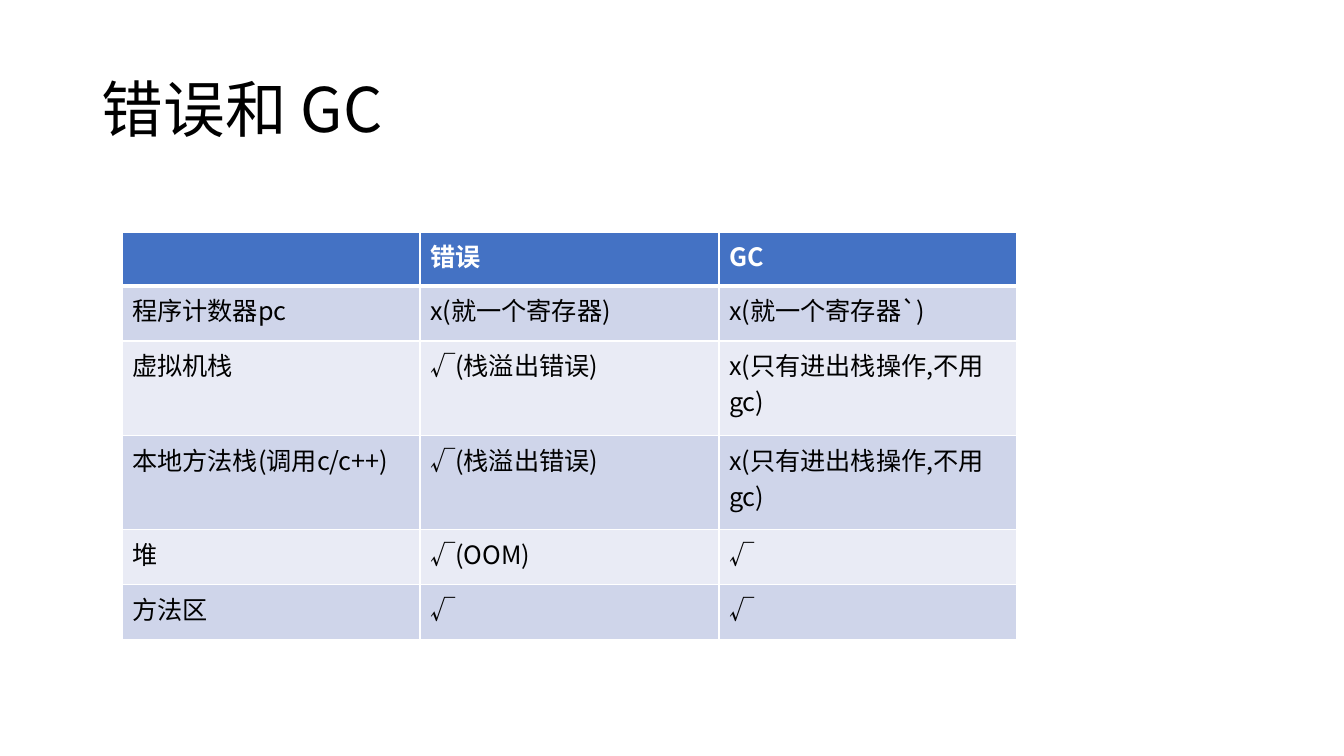
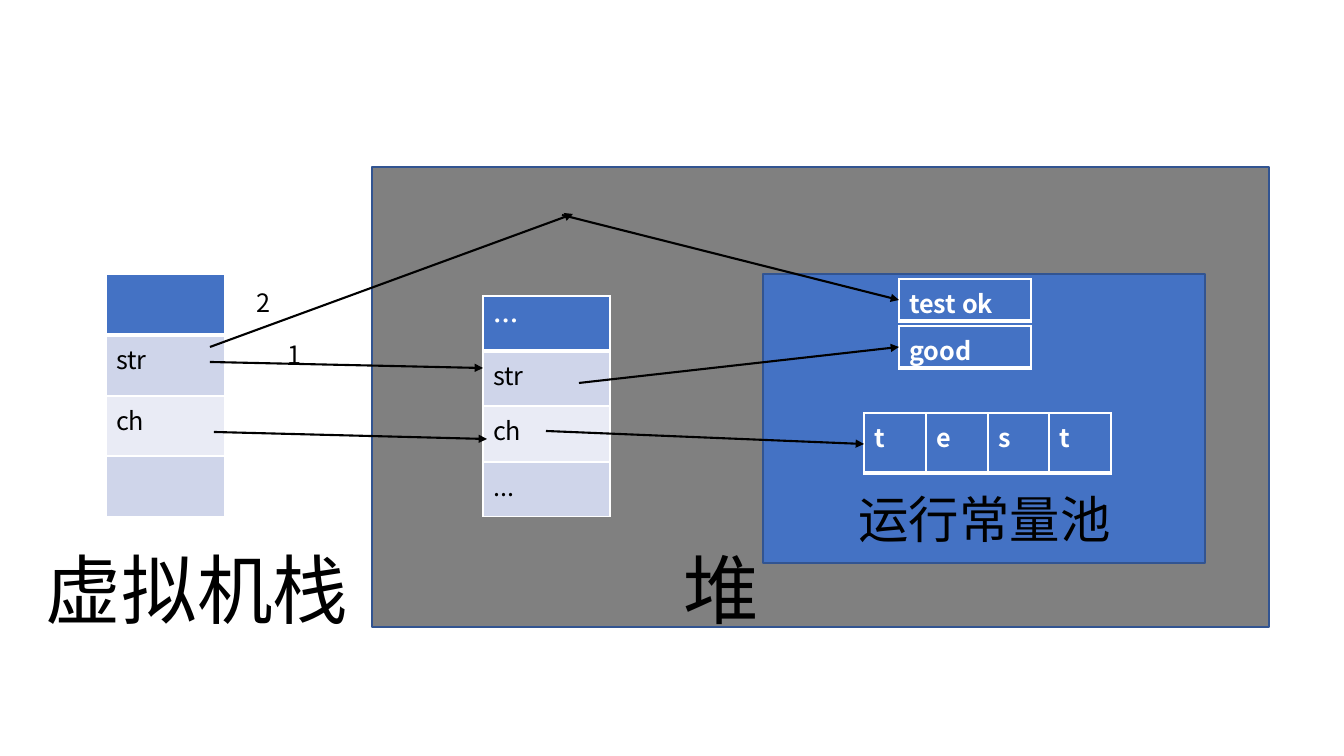
from dataclasses import dataclass

from lxml import etree
from pptx import Presentation
from pptx.dml.color import RGBColor
from pptx.enum.shapes import MSO_CONNECTOR, MSO_SHAPE
from pptx.enum.text import MSO_ANCHOR, MSO_AUTO_SIZE, PP_ALIGN
from pptx.oxml.ns import qn
from pptx.util import Emu, Pt

RECTANGLE = MSO_SHAPE.RECTANGLE
STRAIGHT = MSO_CONNECTOR.STRAIGHT
MIDDLE = MSO_ANCHOR.MIDDLE
FIT_TEXT = MSO_AUTO_SIZE.SHAPE_TO_FIT_TEXT
LEFT, CENTER = PP_ALIGN.LEFT, PP_ALIGN.CENTER
EMU_PER_PX = 914400 / 100.8


@dataclass(frozen=True)
class Theme:
    font: str = "Noto Sans CJK SC"
    ink: str = "000000"
    paper: str = "FFFFFF"
    accent: str = "4472C4"
    outline: str = "325491"
    heap: str = "808080"
    bands: tuple = ("CFD5EA", "E9EBF5")
    title: int = 44
    area: int = 54
    pool: int = 36
    body: int = 18
    thin: float = 1
    thick: float = 3
    arrow: float = 1.5


def px(length):
    return Emu(round(length * EMU_PER_PX))


def share(total, count):
    edges = [round(total * i / count) for i in range(count + 1)]
    return [end - start for start, end in zip(edges, edges[1:])]


class Deck:
    def __init__(self, theme, width, height):
        self.theme = theme
        self.presentation = Presentation()
        self.presentation.slide_width = px(width)
        self.presentation.slide_height = px(height)
        self.slide = None

    def new_slide(self):
        blank = self.presentation.slide_layouts[6]
        self.slide = self.presentation.slides.add_slide(blank)

    def style_text(self, paragraph, size, color, bold=False):
        for run in paragraph.runs:
            run.font.name = self.theme.font
            run.font.size = Pt(size)
            run.font.bold = bold
            run.font.color.rgb = RGBColor.from_string(color)
            east_asian = etree.SubElement(run.font._element, qn("a:ea"))
            east_asian.set("typeface", self.theme.font)

    def title(self, text):
        box = self.slide.shapes.add_textbox(px(92), px(40), px(1159), px(146))
        frame = box.text_frame
        frame.word_wrap = True
        frame.vertical_anchor = MIDDLE
        frame.text = text
        frame.paragraphs[0].line_spacing = 0.9
        self.style_text(frame.paragraphs[0], self.theme.title, self.theme.ink)

    def label(self, text, left, top, width, height, size, align=CENTER):
        box = self.slide.shapes.add_textbox(px(left), px(top), px(width), px(height))
        frame = box.text_frame
        frame.word_wrap = False
        frame.auto_size = FIT_TEXT
        frame.text = text
        frame.paragraphs[0].alignment = align
        self.style_text(frame.paragraphs[0], size, self.theme.ink)

    def area(self, left, top, width, height, fill):
        area = self.slide.shapes.add_shape(
            RECTANGLE, px(left), px(top), px(width), px(height))
        area.shadow.inherit = False
        area.fill.solid()
        area.fill.fore_color.rgb = RGBColor.from_string(fill)
        area.line.color.rgb = RGBColor.from_string(self.theme.outline)
        area.line.width = Pt(self.theme.thin)

    def arrow(self, start, end):
        arrow = self.slide.shapes.add_connector(STRAIGHT, *map(px, start + end))
        arrow.line.color.rgb = RGBColor.from_string(self.theme.ink)
        arrow.line.width = Pt(self.theme.arrow)
        tip = etree.SubElement(arrow.line._get_or_add_ln(), qn("a:tailEnd"))
        tip.set("type", "triangle")
        etree.SubElement(arrow._element.spPr, qn("a:effectLst"))

    def cell_borders(self, cell, row):
        thin, thick = self.theme.thin, self.theme.thick
        widths = {"L": thin, "R": thin,
                  "T": thick if row == 1 else thin,
                  "B": thick if row == 0 else thin}
        properties = cell._tc.get_or_add_tcPr()
        for side, width in widths.items():
            border = etree.SubElement(properties, qn(f"a:ln{side}"))
            border.set("w", str(Pt(width)))
            fill = etree.SubElement(border, qn("a:solidFill"))
            etree.SubElement(fill, qn("a:srgbClr")).set("val", self.theme.paper)

    def table(self, rows, left, top, width, heights):
        table = self.slide.shapes.add_table(
            len(rows), len(rows[0]), px(left), px(top),
            px(width), px(sum(heights))).table
        table.first_row = False
        table.horz_banding = False
        for column, column_width in zip(table.columns, share(width, len(rows[0]))):
            column.width = px(column_width)
        for row, (texts, height) in enumerate(zip(rows, heights)):
            table.rows[row].height = px(height)
            header = row == 0
            band = self.theme.accent if header else self.theme.bands[(row - 1) % 2]
            color = self.theme.paper if header else self.theme.ink
            for column, text in enumerate(texts):
                cell = table.cell(row, column)
                cell.text_frame.text = text
                self.style_text(cell.text_frame.paragraphs[0],
                                self.theme.body, color, header)
                self.cell_borders(cell, row)
                cell.fill.solid()
                cell.fill.fore_color.rgb = RGBColor.from_string(band)


def errors_and_gc(deck):
    deck.new_slide()
    deck.title("错误和 GC")
    deck.table([
        ("", "错误", "GC"),
        ("程序计数器pc", "x(就一个寄存器)", "x(就一个寄存器`)"),
        ("虚拟机栈", "√(栈溢出错误)", "x(只有进出栈操作,不用 gc)"),
        ("本地方法栈(调用c/c++)", "√(栈溢出错误)", "x(只有进出栈操作,不用 gc)"),
        ("堆", "√(OOM)", "√"),
        ("方法区", "√", "√"),
    ], 122, 232, 895, [54, 55, 95, 94, 55, 55])


def string_references(deck):
    theme = deck.theme
    deck.new_slide()
    deck.area(372, 167, 897, 460, theme.heap)
    deck.table([("",), ("str",), ("ch",), ("",)], 106, 274, 119, share(243, 4))
    deck.table([("…",), ("str",), ("ch",), ("...",)], 483, 296, 127, share(221, 4))
    deck.area(763, 274, 442, 289, theme.accent)
    for text, top in (("test ok", 279), ("good", 326)):
        deck.table([(text,)], 899, top, 132, [42])
    deck.table([tuple("test")], 864, 413, 247, [60])
    deck.label("堆", 673, 538, 97, 102, theme.area)
    deck.label("虚拟机栈", 34, 538, 326, 102, theme.area)
    deck.label("运行常量池", 847, 483, 275, 72, theme.pool)
    for start, end in (
        ((579, 383), (899, 347)),
        ((546, 431), (864, 444)),
        ((210, 362), (483, 368)),
        ((214, 432), (487, 439)),
        ((210, 347), (573, 214)),
        ((562, 215), (899, 300)),
    ):
        deck.arrow(start, end)
    for step, left, top in (("1", 278, 334), ("2", 247, 282)):
        deck.label(step, left, top, 34, 40, theme.body, LEFT)


def main():
    deck = Deck(Theme(), 1344, 756)
    errors_and_gc(deck)
    string_references(deck)
    deck.presentation.save("out.pptx")


if __name__ == "__main__":
    main()
